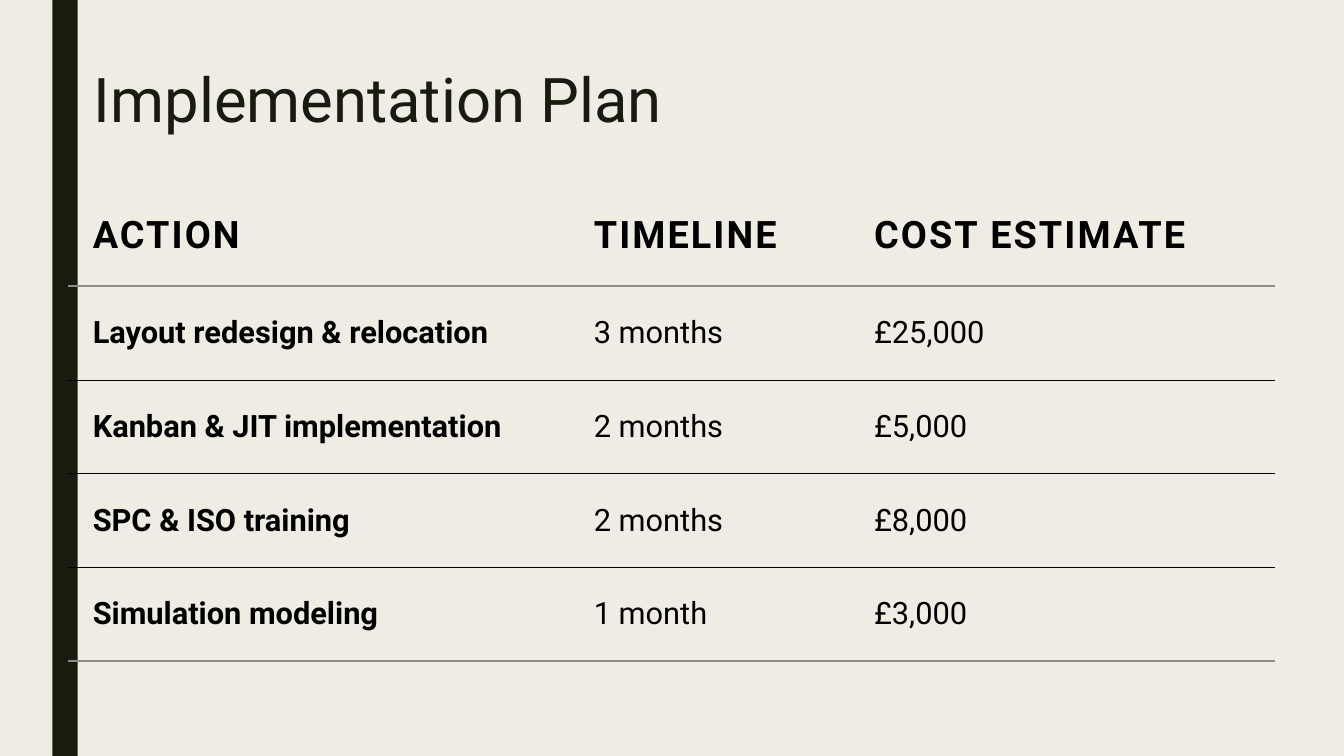
"""Build the implementation plan slide."""
from dataclasses import dataclass

from lxml import etree
from pptx import Presentation
from pptx.dml.color import RGBColor
from pptx.enum.shapes import MSO_SHAPE
from pptx.enum.text import MSO_ANCHOR, PP_ALIGN
from pptx.oxml.ns import qn
from pptx.util import Inches, Pt

RECTANGLE = MSO_SHAPE.RECTANGLE
BOTTOM, MIDDLE = MSO_ANCHOR.BOTTOM, MSO_ANCHOR.MIDDLE
LEFT = PP_ALIGN.LEFT
TITLE_ONLY = 5


@dataclass(frozen=True)
class Theme:
    """Colours, typeface and sizes in points."""
    background: str = "EFEDE3"
    dark: str = "191B0E"
    text: str = "000000"
    rule: str = "8C8D86"
    face: str = "Roboto"
    title_size: float = 44
    header_size: float = 27
    body_size: float = 22
    header_spacing: float = 1.5
    thick: float = 1.5
    thin: float = 0.5


THEME = Theme()
COLUMN_WIDTHS = (4.97, 2.78, 4.23)
HEADER_HEIGHT, ACTION_HEIGHT = 1.01, 0.93
PLAN = (
    ("ACTION", "TIMELINE", "COST ESTIMATE"),
    ("Layout redesign & relocation", "3 months", "£25,000"),
    ("Kanban & JIT implementation", "2 months", "£5,000"),
    ("SPC & ISO training", "2 months", "£8,000"),
    ("Simulation modeling", "1 month", "£3,000"),
)


def apply_format(target, values):
    """Set each named attribute on the target."""
    for name, value in values.items():
        setattr(target, name, value)


def write(frame, wording, size, color, bold=False):
    """Put one formatted line in a text frame and return its run."""
    paragraph = frame.paragraphs[0]
    paragraph.alignment = LEFT
    run = paragraph.add_run()
    run.text = wording
    apply_format(run.font, {"name": THEME.face, "size": Pt(size), "bold": bold})
    run.font.color.rgb = RGBColor.from_string(color)
    return run


def add_side_band(slide):
    """Draw the dark vertical band."""
    band = slide.shapes.add_shape(
        RECTANGLE, Inches(0.52), Inches(0), Inches(0.25), Inches(7.5))
    band.shadow.inherit = False
    band.fill.solid()
    band.fill.fore_color.rgb = RGBColor.from_string(THEME.dark)
    band.line.fill.background()


def add_title(slide, wording):
    """Place and fill the title placeholder."""
    title = slide.shapes.title
    apply_format(title, {"left": Inches(0.83), "top": Inches(0.54),
                         "width": Inches(10.5), "height": Inches(0.86)})
    apply_format(title.text_frame, {"vertical_anchor": BOTTOM, "word_wrap": True})
    write(title.text_frame, wording, THEME.title_size, THEME.dark)
    title.text_frame.paragraphs[0].line_spacing = 0.89


def add_border(cell, side, rule=None):
    """Set one cell border from a colour and width, or hide it."""
    properties = cell._tc.get_or_add_tcPr()
    border = etree.SubElement(properties, qn(f"a:ln{side}"))
    if rule is None:
        etree.SubElement(border, qn("a:noFill"))
        return
    color, width = rule
    border.set("w", str(Pt(width)))
    fill = etree.SubElement(border, qn("a:solidFill"))
    etree.SubElement(fill, qn("a:srgbClr"), val=color)


def fill_cell(cell, wording, is_header, bold, rules):
    """Format one table cell and write its wording."""
    margins = ("margin_left", "margin_right", "margin_top", "margin_bottom")
    apply_format(cell, dict.fromkeys(margins, Inches(0.25)))
    cell.vertical_anchor = MIDDLE
    for side in "LRTB":
        add_border(cell, side, rules.get(side))
    cell.fill.background()
    size = THEME.header_size if is_header else THEME.body_size
    run = write(cell.text_frame, wording, size, THEME.text, bold)
    if is_header:
        run.font._element.set("spc", str(int(THEME.header_spacing * 100)))


def add_plan_table(slide):
    """Add the table of actions, timelines and costs."""
    heights = [HEADER_HEIGHT] + [ACTION_HEIGHT] * (len(PLAN) - 1)
    table = slide.shapes.add_table(
        len(PLAN), len(COLUMN_WIDTHS), Inches(0.67), Inches(1.83),
        Inches(sum(COLUMN_WIDTHS)), Inches(sum(heights))).table
    apply_format(table, {"first_row": False, "horz_banding": False})
    for column, width in zip(table.columns, COLUMN_WIDTHS):
        column.width = Inches(width)
    for row, height in zip(table.rows, heights):
        row.height = Inches(height)
    outer, inner = (THEME.rule, THEME.thick), (THEME.text, THEME.thin)
    lines = [None, outer] + [inner] * (len(PLAN) - 2) + [outer]
    for i, entries in enumerate(PLAN):
        rules = {"T": lines[i], "B": lines[i + 1]}
        for j, wording in enumerate(entries):
            fill_cell(table.cell(i, j), wording, i == 0, i == 0 or j == 0, rules)


def main():
    """Build and save the slide."""
    deck = Presentation()
    apply_format(deck, {"slide_width": Inches(13.33), "slide_height": Inches(7.5)})
    slide = deck.slides.add_slide(deck.slide_layouts[TITLE_ONLY])
    slide.background.fill.solid()
    slide.background.fill.fore_color.rgb = RGBColor.from_string(THEME.background)
    add_side_band(slide)
    add_title(slide, "Implementation Plan")
    add_plan_table(slide)
    deck.save("out.pptx")


if __name__ == "__main__":
    main()
